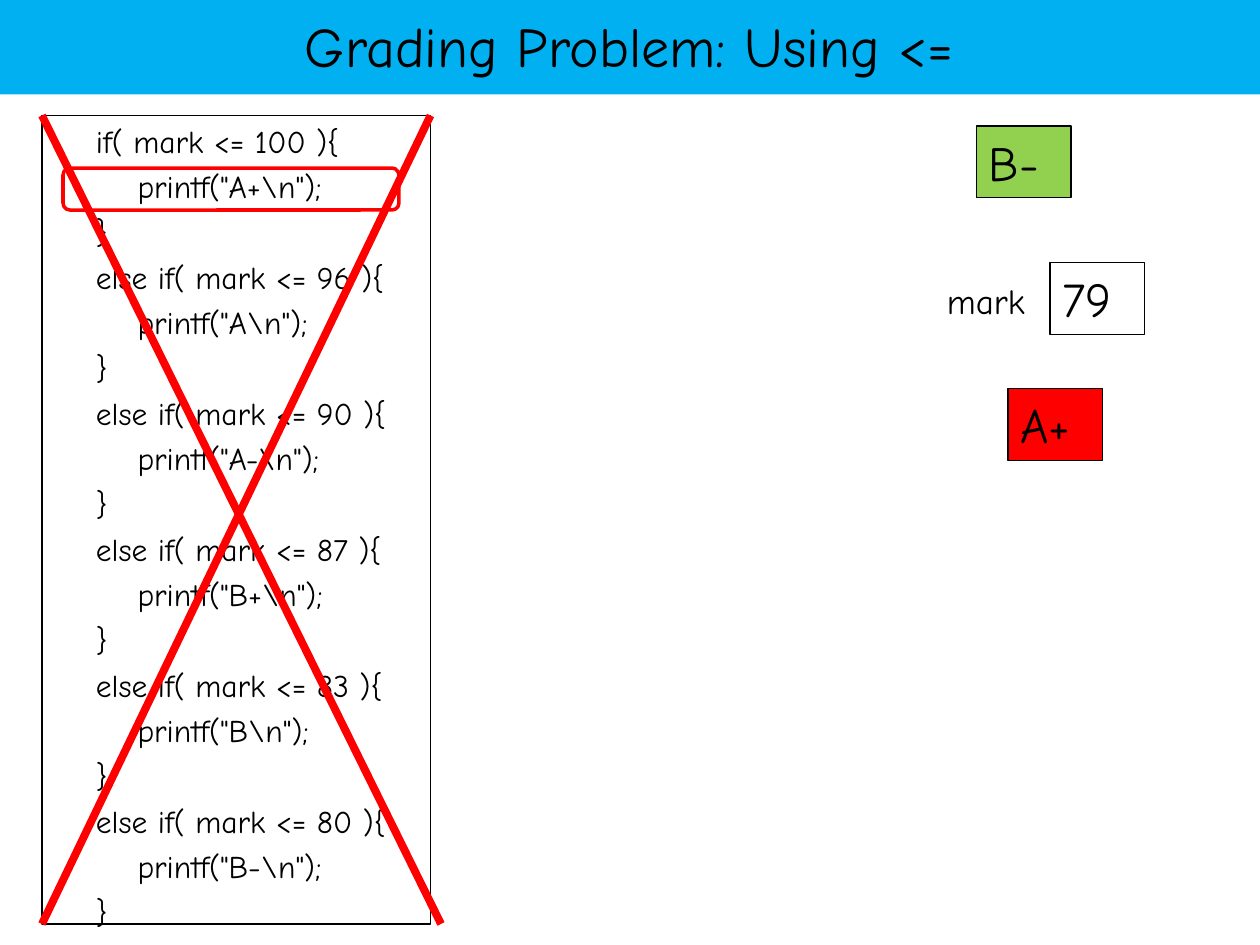
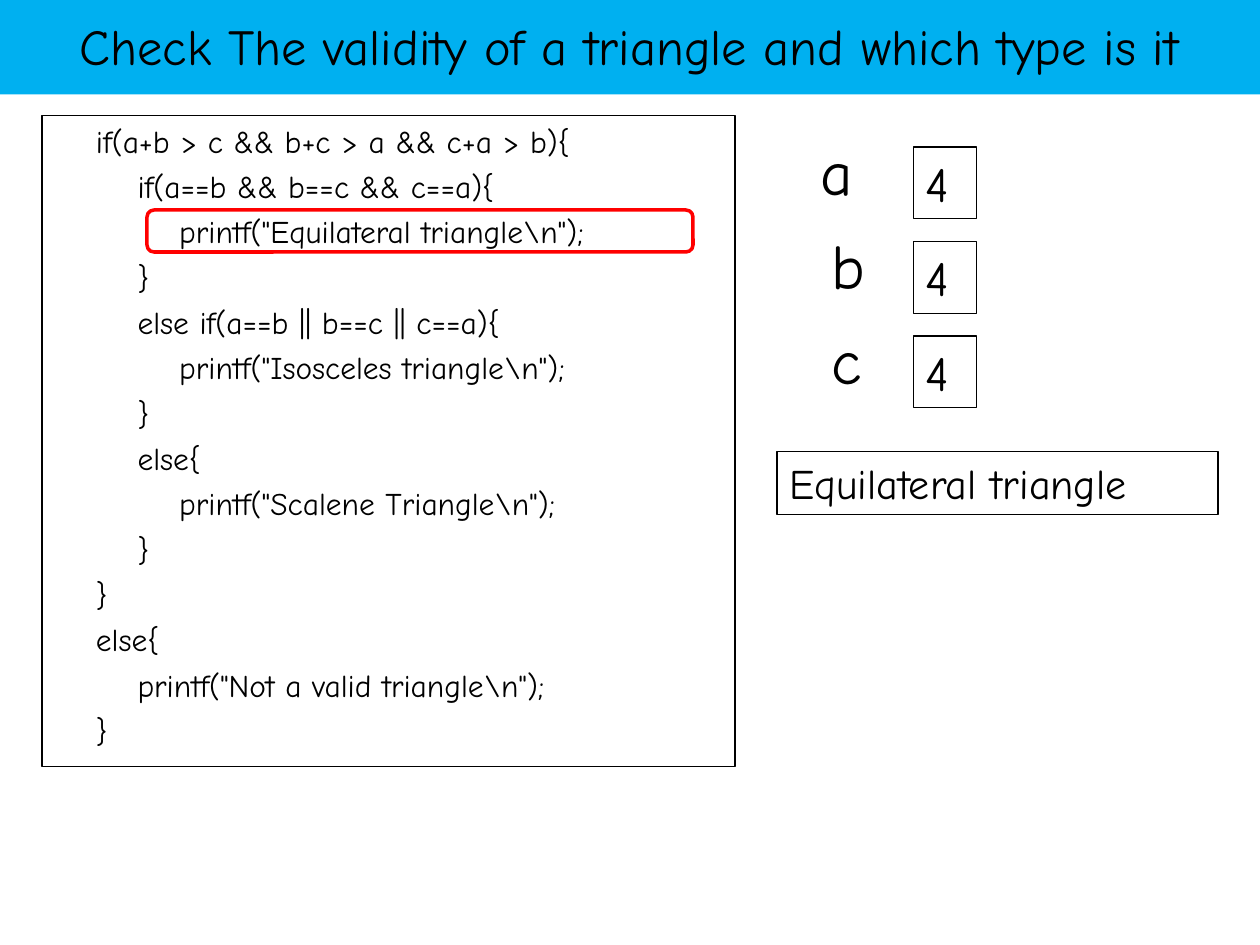
from pptx import Presentation
from pptx import util as u
from pptx.dml.color import RGBColor
from pptx.enum import shapes, text
from pptx.oxml import parse_xml
from pptx.oxml.ns import nsdecls

COLUMNS, ROWS = 120, 90
CELL = u.Inches(10) // COLUMNS
FONT = "Comic Neue"
BLACK, RED, GREEN, BLUE = "000000", "FF0000", "92D050", "00B0F0"
INDENT = u.Inches(0.33)
VALUE_HEIGHT = 6.84
LABEL_HEIGHT = 8.5

GRADES = [(100, "A+"), (96, "A"), (90, "A-"), (87, "B+"), (83, "B"), (80, "B-")]
TRIANGLE_CODE = [
    (1, "if(a+b > c && b+c > a && c+a > b){"),
    (2, "if(a==b && b==c && c==a){"),
    (3, r'printf("Equilateral triangle\n");'),
    (2, "}"),
    (2, "else if(a==b || b==c || c==a){"),
    (3, r'printf("Isosceles triangle\n");'),
    (2, "}"),
    (2, "else{"),
    (3, r'printf("Scalene Triangle\n");'),
    (2, "}"),
    (1, "}"),
    (1, "else{"),
    (2, r'printf("Not a valid triangle\n");'),
    (1, "}"),
]


def cells(*counts):
    """Turn grid counts into lengths."""
    return [u.Emu(round(count * CELL)) for count in counts]


def color(hex_code):
    """Turn a hex string into a colour."""
    return RGBColor.from_string(hex_code)


def apply(target, formats):
    """Set each format value on the target."""
    for name, value in formats.items():
        setattr(target, name, value)


def write(frame, lines, size, frame_formats, paragraph_formats):
    """Fill a text frame with (indent level, line) pairs."""
    apply(frame, {"word_wrap": True, **frame_formats})
    for index, (level, line) in enumerate(lines):
        paragraph = frame.add_paragraph() if index else frame.paragraphs[0]
        apply(paragraph, {"alignment": text.PP_ALIGN.LEFT, **paragraph_formats})
        if level:
            paragraph._p.get_or_add_pPr().set("marL", str(level * INDENT))
        run = paragraph.add_run()
        run.text = line
        apply(run.font, {"name": FONT, "size": u.Pt(size)})
        run.font.color.rgb = color(BLACK)


def box(slide, place, fill=None, line=BLACK, width=0.75, kind=shapes.MSO_SHAPE.RECTANGLE):
    """Add a flat outlined shape on the grid."""
    shape = slide.shapes.add_shape(kind, *cells(*place))
    shape.shadow.inherit = False
    if fill:
        shape.fill.solid()
        shape.fill.fore_color.rgb = color(fill)
    else:
        shape.fill.background()
    if line:
        shape.line.color.rgb = color(line)
        shape.line.width = u.Pt(width)
    else:
        shape.line.fill.background()
    return shape


def title_band(slide, title, size):
    """Add the blue title band."""
    band = box(slide, (-0.1, -0.35, COLUMNS + 0.1, 9.35), BLUE, None)
    write(band.text_frame, [(0, title)], size,
          {"vertical_anchor": text.MSO_ANCHOR.MIDDLE},
          {"alignment": text.PP_ALIGN.CENTER})


def code_panel(slide, columns, rows, code):
    """Add the framed program listing."""
    panel = box(slide, (4, 11, columns, rows))
    write(panel.text_frame, code, 18,
          {"vertical_anchor": text.MSO_ANCHOR.TOP}, {"space_before": u.Pt(4.3)})


def value_box(slide, place, value, fill=None, size=28):
    """Add a box that shows a value or printed result."""
    shape = box(slide, place, fill)
    write(shape.text_frame, [(0, value)], size,
          {"vertical_anchor": text.MSO_ANCHOR.TOP,
           "auto_size": text.MSO_AUTO_SIZE.SHAPE_TO_FIT_TEXT}, {})


def label(slide, place, name, size):
    """Add the name of a variable."""
    caption = slide.shapes.add_textbox(*cells(*place))
    write(caption.text_frame, [(0, name)], size,
          {"auto_size": text.MSO_AUTO_SIZE.SHAPE_TO_FIT_TEXT}, {})


def highlight(slide, column, row, columns):
    """Outline the executed line of code."""
    box(slide, (column, row, columns, 4), line=RED, width=2,
        kind=shapes.MSO_SHAPE.ROUNDED_RECTANGLE)


def strike(slide, start, end):
    """Draw one stroke of the crossing-out."""
    stroke = slide.shapes.add_connector(
        shapes.MSO_CONNECTOR.STRAIGHT, *cells(*start, *end))
    stroke.line.color.rgb = color(RED)
    stroke.line.width = u.Pt(4.5)
    stroke._element.spPr.append(parse_xml(f"<a:effectLst {nsdecls('a')}/>"))


def grading_code():
    """Build the chain of grade conditions."""
    code = []
    for limit, grade in GRADES:
        keyword = "else if" if code else "if"
        code += [(1, f"{keyword}( mark <= {limit} ){{"),
                 (2, f'printf("{grade}\\n");'),
                 (1, "}")]
    return code


def grading_slide(slide):
    """Show the wrong order of grade checks."""
    title_band(slide, "Grading Problem: Using <=", 32)
    code_panel(slide, 37, 77, grading_code())
    value_box(slide, (100, 25, 9, VALUE_HEIGHT), "79")
    label(slide, (89, 26, 11, 5.25), "mark", 20)
    highlight(slide, 6, 16, 32)
    value_box(slide, (96, 37, 9, VALUE_HEIGHT), "A+", RED)
    value_box(slide, (93, 12, 9, VALUE_HEIGHT), "B-", GREEN)
    strike(slide, (4, 11), (42, 88))
    strike(slide, (41, 11), (4, 88))


def triangle_slide(slide):
    """Show the triangle check for three equal sides."""
    title_band(slide, "Check The validity of a triangle and which type is it", 28.8)
    code_panel(slide, 66, 62, TRIANGLE_CODE)
    for index, (side, column) in enumerate([("a", 77), ("b", 78), ("c", 78)]):
        row = 12 + 9 * index
        value_box(slide, (87, row + 2, 6, VALUE_HEIGHT), "4")
        label(slide, (column, row, 6, LABEL_HEIGHT), side, 36)
    highlight(slide, 14, 20, 52)
    value_box(slide, (74, 43, 42, 6), "Equilateral triangle", size=24)


def main():
    """Build and save the presentation."""
    deck = Presentation()
    apply(deck, {"slide_width": COLUMNS * CELL, "slide_height": ROWS * CELL})
    for build in (grading_slide, triangle_slide):
        build(deck.slides.add_slide(deck.slide_layouts[6]))
    deck.save("out.pptx")


main()
